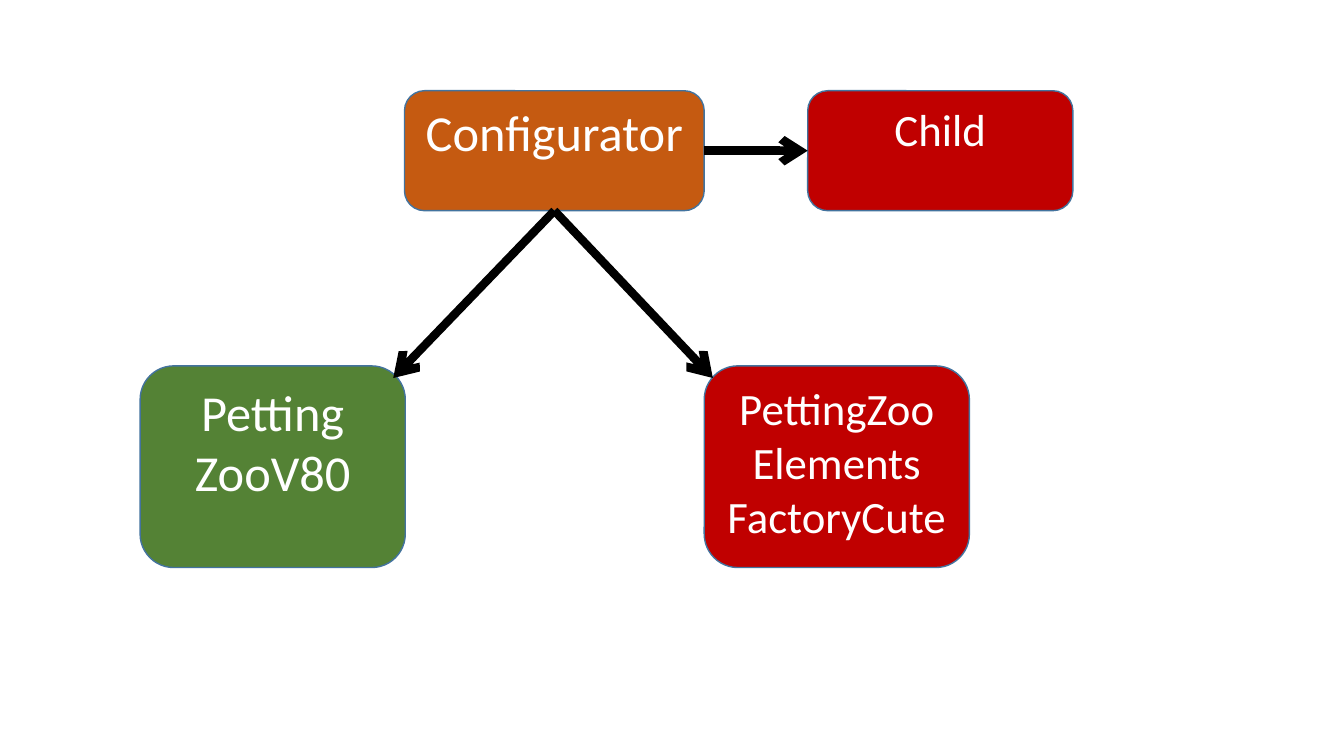
from dataclasses import dataclass

from lxml.etree import SubElement
from pptx import Presentation
from pptx.dml.color import RGBColor
from pptx.enum.shapes import MSO_CONNECTOR as Connector, MSO_SHAPE as Shape
from pptx.enum.text import MSO_ANCHOR as Anchor, PP_ALIGN as Align
from pptx.oxml.ns import qn
from pptx.slide import Slide
from pptx.util import Inches, Pt

SLIDE_W, SLIDE_H = Inches(13.33), Inches(7.5)
FONT = "Calibri"
WHITE, BLACK, OUTLINE = "FFFFFF", "000000", "43739E"
GREEN, RED, ORANGE = "548235", "C00000", "C55A11"


# Positions and sizes are percentages of the slide's width and height
@dataclass(frozen=True)
class Box:
    text: str
    left: float
    top: float
    width: float
    height: float
    fill: str
    size: int

    @property
    def right_middle(self) -> tuple[float, float]:
        return self.left + self.width, self.top + self.height / 2

    @property
    def bottom_center(self) -> tuple[float, float]:
        return self.left + self.width / 2, self.top + self.height


@dataclass(frozen=True)
class Arrow:
    start: tuple[float, float]
    end: tuple[float, float]


TOP_ROW, TOP_HEIGHT = 12, 15.87
LOW_ROW, LOW_HEIGHT = 48.4, 26.67
BOX_WIDTH = 19.73

petting_zoo = Box("Petting\nZooV80", 10.43, LOW_ROW, BOX_WIDTH, LOW_HEIGHT, GREEN, 36)
factory = Box("PettingZoo\nElements\nFactoryCute", 52.4, LOW_ROW, BOX_WIDTH,
              LOW_HEIGHT, RED, 32)
configurator = Box("Configurator", 30.1, TOP_ROW, 22.3, TOP_HEIGHT, ORANGE, 36)
child = Box("Child", 60.1, TOP_ROW, BOX_WIDTH, TOP_HEIGHT, RED, 32)

BOXES = [petting_zoo, factory, configurator, child]
ARROWS = [
    Arrow(configurator.bottom_center, (29.26, 50)),
    Arrow(configurator.bottom_center, (53.04, 50)),
    Arrow(configurator.right_middle, (child.left, configurator.right_middle[1])),
]


def color(value: str) -> RGBColor:
    return RGBColor.from_string(value)


def across(share: float) -> int:
    return round(SLIDE_W * share / 100)


def down(share: float) -> int:
    return round(SLIDE_H * share / 100)


def draw_box(s: Slide, box: Box) -> None:
    sp = s.shapes.add_shape(Shape.ROUNDED_RECTANGLE, across(box.left), down(box.top),
                            across(box.width), down(box.height))
    sp.shadow.inherit = False
    sp.fill.solid()
    sp.fill.fore_color.rgb = color(box.fill)
    sp.line.color.rgb = color(OUTLINE)
    sp.line.width = Pt(1)
    tf = sp.text_frame
    tf.word_wrap = True
    tf.vertical_anchor = Anchor.TOP
    tf.text = box.text
    for p in tf.paragraphs:
        p.alignment = Align.CENTER
        for r in p.runs:
            r.font.name = FONT
            r.font.size = Pt(box.size)
            r.font.color.rgb = color(WHITE)


def draw_arrow(s: Slide, arrow: Arrow) -> None:
    (x1, y1), (x2, y2) = arrow.start, arrow.end
    line = s.shapes.add_connector(Connector.STRAIGHT, across(x1), down(y1),
                                  across(x2), down(y2))
    line.line.color.rgb = color(BLACK)
    line.line.width = Pt(6)
    # Open arrowhead, no shadow
    SubElement(line.line._get_or_add_ln(), qn("a:tailEnd"), type="arrow")
    SubElement(line._element.spPr, qn("a:effectLst"))


def main() -> None:
    prs = Presentation()
    prs.slide_width, prs.slide_height = SLIDE_W, SLIDE_H
    s = prs.slides.add_slide(prs.slide_layouts[6])
    # Class boxes
    for box in BOXES:
        draw_box(s, box)
    # Relations from the configurator
    for arrow in ARROWS:
        draw_arrow(s, arrow)
    prs.save("out.pptx")


if __name__ == "__main__":
    main()
